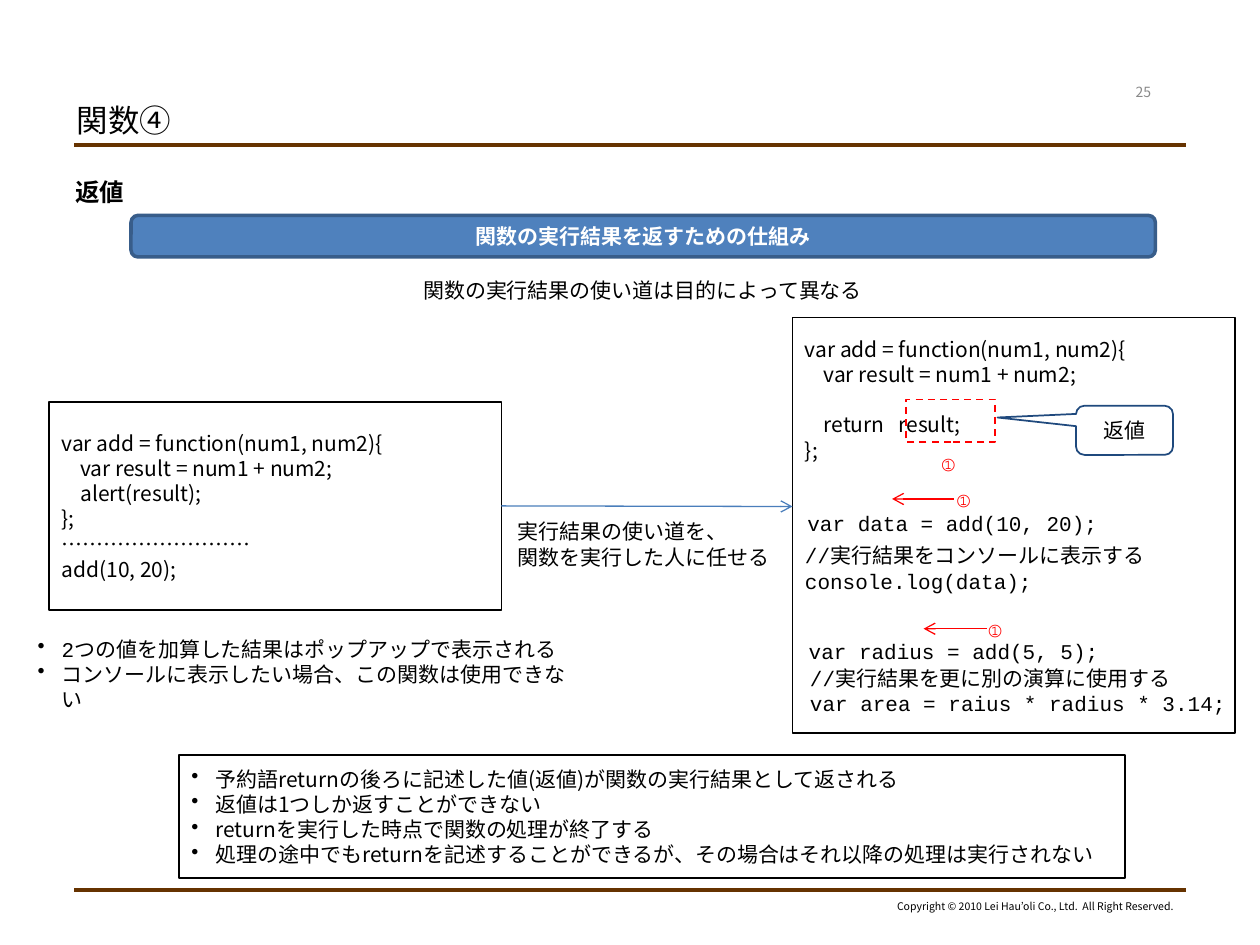
import pptx
import pptx.util
import pptx.dml.color
import pptx.enum.shapes
import pptx.enum.text
import pptx.enum.dml
import pptx.oxml
from pptx.oxml.ns import qn

Inches = pptx.util.Inches
Pt = pptx.util.Pt
SHAPE = pptx.enum.shapes.MSO_SHAPE
ALIGN = pptx.enum.text.PP_ALIGN
ANCHOR = pptx.enum.text.MSO_ANCHOR

SANS, MONO = "Noto Sans CJK JP", "Courier New"
BLACK, WHITE, RED, BROWN = "000000", "FFFFFF", "FF0000", "663300"

title = "関数④"
heading = "返値"
banner = "関数の実行結果を返すための仕組み"
page_number = "25"
copyright_line = "Copyright © 2010 Lei Hau’oli Co., Ltd.  All Right Reserved."
alert_code = [
    "var add = function(num1, num2){",
    "    var result = num1 + num2;",
    "    alert(result);",
    "};",
    "………………………",
    "add(10, 20);",
]
return_code = [
    "var add = function(num1, num2){",
    "    var result = num1 + num2;",
    "    return   result;",
    "};",
]
rules = [
    "予約語returnの後ろに記述した値(返値)が関数の実行結果として返される",
    "返値は1つしか返すことができない",
    "returnを実行した時点で関数の処理が終了する",
    "処理の途中でもreturnを記述することができるが、その場合はそれ以降の処理は実行されない",
]
limits = [
    "2つの値を加算した結果はポップアップで表示される",
    "コンソールに表示したい場合、この関数は使用できない",
]
notes = [
    ((3.26, 2.15, 3.7, 0.3), ["関数の実行結果の使い道は目的によって異なる"]),
    ((4.01, 4.07, 2.2, 0.5), ["実行結果の使い道を、", "関数を実行した人に任せる"]),
    ((6.31, 4, 2.5, 0.3), ["var data = add(10, 20);"]),
    ((6.29, 4.26, 2.94, 0.5), ["//実行結果をコンソールに表示する", "console.log(data);"]),
    ((6.32, 5.02, 2.5, 0.3), ["var radius = add(5, 5);"]),
    ((6.33, 5.23, 3.5, 0.5), ["//実行結果を更に別の演算に使用する", "var area = raius * radius * 3.14;"]),
]
markers = [(7.38, 3.51), (7.5, 3.8), (7.75, 4.83)]
return_arrows = [(7.57, 7.08, 3.96), (7.83, 7.33, 4.99)]
rule_heights = [1.15, 7.06]

presentation = pptx.Presentation()
presentation.slide_width, presentation.slide_height = Inches(10), Inches(7.5)
slide = presentation.slides.add_slide(presentation.slide_layouts[6])


def rgb(value):
    return pptx.dml.color.RGBColor.from_string(value)


def add_bullet(paragraph):
    properties = paragraph._p.get_or_add_pPr()
    properties.set("marL", str(Inches(0.19)))
    properties.set("indent", str(-Inches(0.19)))
    bullet = properties.makeelement(qn("a:buChar"), {"char": "•"})
    properties.append(bullet)


def write(shape, lines, size=12, font=SANS, color=BLACK, bold=False,
          align=ALIGN.LEFT, anchor=ANCHOR.TOP, wrap=True, bullets=False):
    frame = shape.text_frame
    frame.word_wrap = wrap
    frame.vertical_anchor = anchor
    for index, line in enumerate(lines):
        paragraph = frame.paragraphs[0] if index == 0 else frame.add_paragraph()
        paragraph.alignment = align
        if bullets:
            add_bullet(paragraph)
        run = paragraph.add_run()
        run.text = line
        run.font.size, run.font.name, run.font.bold = Pt(size), font, bold
        run.font.color.rgb = rgb(color)
        latin = run._r.rPr.find(qn("a:latin"))
        latin.addnext(latin.makeelement(qn("a:ea"), {"typeface": SANS}))
    return shape


def add_text(box, lines, **style):
    return write(slide.shapes.add_textbox(*map(Inches, box)), lines, **style)


def add_box(kind, box, line, width=1, fill=None):
    shape = slide.shapes.add_shape(kind, *map(Inches, box))
    shape.shadow.inherit = False
    if fill:
        shape.fill.solid()
        shape.fill.fore_color.rgb = rgb(fill)
    else:
        shape.fill.background()
    shape.line.color.rgb = rgb(line)
    shape.line.width = Pt(width)
    return shape


def add_line(start, end, color, width, arrow=False):
    line = slide.shapes.add_connector(
        pptx.enum.shapes.MSO_CONNECTOR.STRAIGHT, *map(Inches, start + end))
    line.line.color.rgb = rgb(color)
    line.line.width = Pt(width)
    if arrow:
        outline = line.line._get_or_add_ln()
        outline.append(outline.makeelement(qn("a:tailEnd"), {"type": "arrow"}))
    properties = line._element.spPr
    properties.append(properties.makeelement(qn("a:effectLst"), {}))
    return line


for y in rule_heights:
    add_line((0.59, y), (9.41, y), BROWN, 2.25)
add_text((6.99, 7.09, 2.42, 0.2), [copyright_line], size=6, align=ALIGN.RIGHT, wrap=False)
add_text((0.51, 0.76, 5.68, 0.39), [title], size=18, anchor=ANCHOR.MIDDLE)
add_text((0.5, 1.36, 9, 5.54), [heading], size=14, bold=True)
add_text((8.78, 0.61, 0.59, 0.24), [page_number], size=8, color="898989",
         align=ALIGN.CENTER, anchor=ANCHOR.MIDDLE)

banner_bar = add_box(SHAPE.ROUNDED_RECTANGLE, (1.04, 1.71, 8.13, 0.33), "385D8A", 2, "4F81BD")
write(banner_bar, [banner], color=WHITE, bold=True, align=ALIGN.CENTER, anchor=ANCHOR.MIDDLE)

alert_box = add_box(SHAPE.RECTANGLE, (0.39, 3.19, 3.59, 1.65), BLACK)
write(alert_box, alert_code, anchor=ANCHOR.MIDDLE)

return_box = add_box(SHAPE.RECTANGLE, (6.29, 2.52, 3.51, 3.3), BLACK)
write(return_box, return_code)
return_box.text_frame.margin_top = Inches(0.15)
return_box.text_frame.paragraphs[2].space_before = Pt(14.4)

add_text((0.2, 5, 4.55, 0.5), limits, font=MONO, wrap=False, bullets=True)

handover = add_line((3.98, 4.02), (6.29, 4.02), "4A7EBB", 0.75, arrow=True)
handover.begin_connect(alert_box, 3)
for start_x, end_x, y in return_arrows:
    add_line((start_x, y), (end_x, y), RED, 0.75, arrow=True)

result_frame = add_box(SHAPE.RECTANGLE, (7.19, 3.17, 0.71, 0.34), RED)
result_frame.line.dash_style = pptx.enum.dml.MSO_LINE.DASH

callout = add_box(SHAPE.ROUNDED_RECTANGULAR_CALLOUT, (8.54, 3.22, 0.77, 0.39), "1F497D")
for index, value in enumerate((-1.31, -0.26, 0.17)):
    callout.adjustments[index] = value
write(callout, [heading], align=ALIGN.CENTER, anchor=ANCHOR.MIDDLE)

for x, y in markers:
    add_text((x, y, 0.36, 0.3), ["①"], font=MONO, color=RED, wrap=False)

rules_box = add_box(SHAPE.RECTANGLE, (1.42, 5.99, 7.51, 0.98), BLACK)
write(rules_box, rules, anchor=ANCHOR.MIDDLE, bullets=True)

for box, lines in notes:
    add_text(box, lines, font=MONO, wrap=False)

presentation.save("out.pptx")
